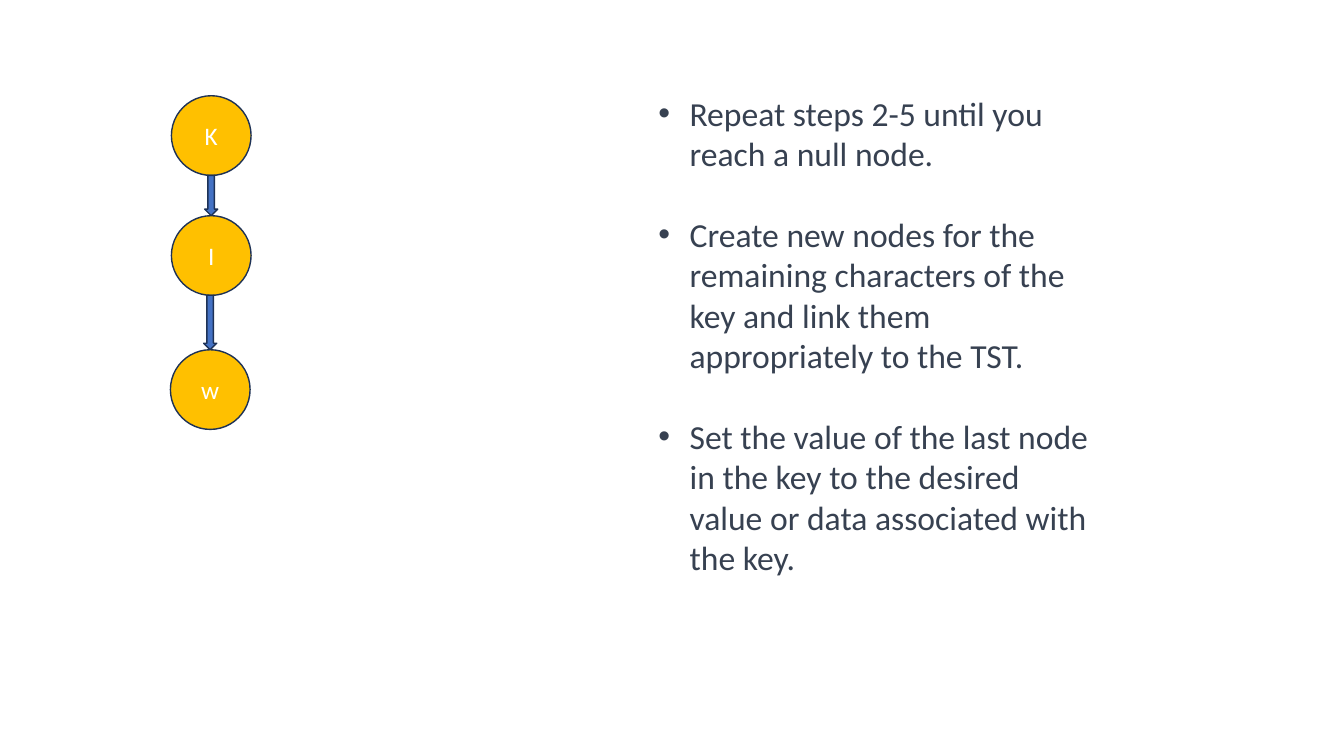
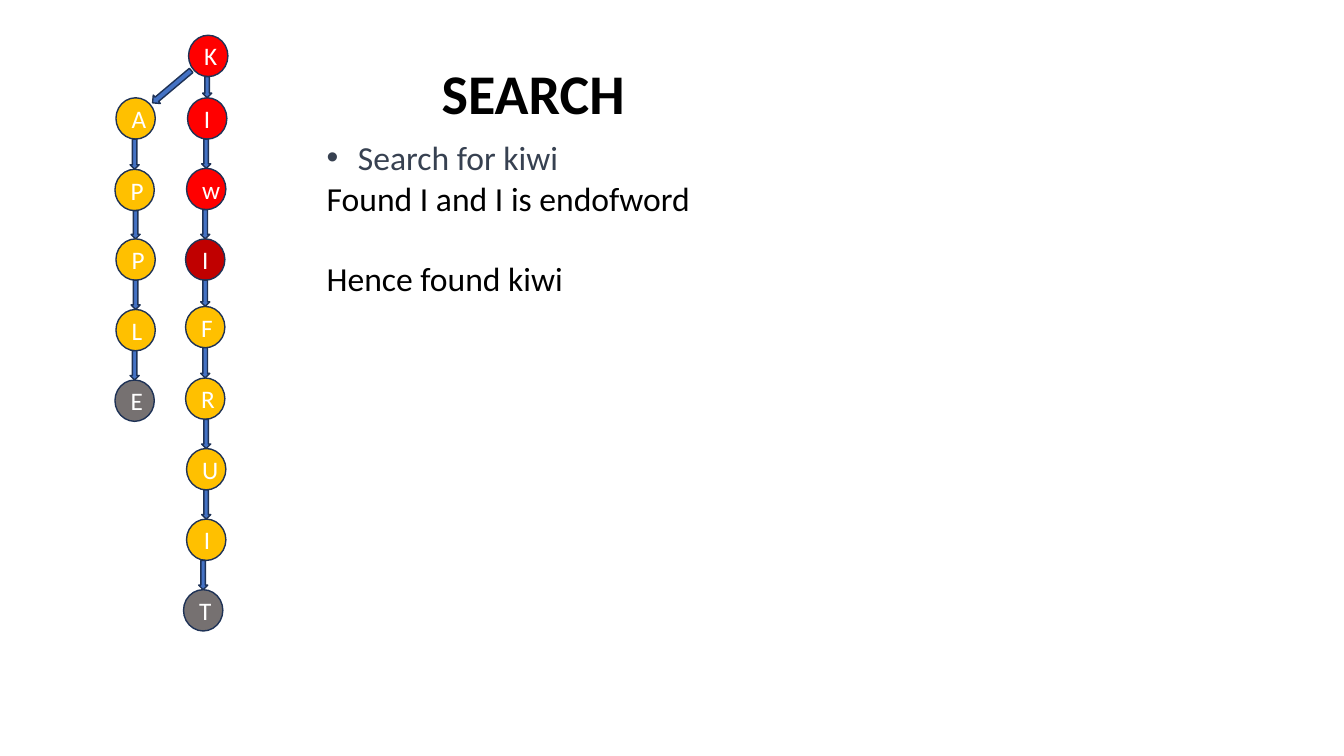
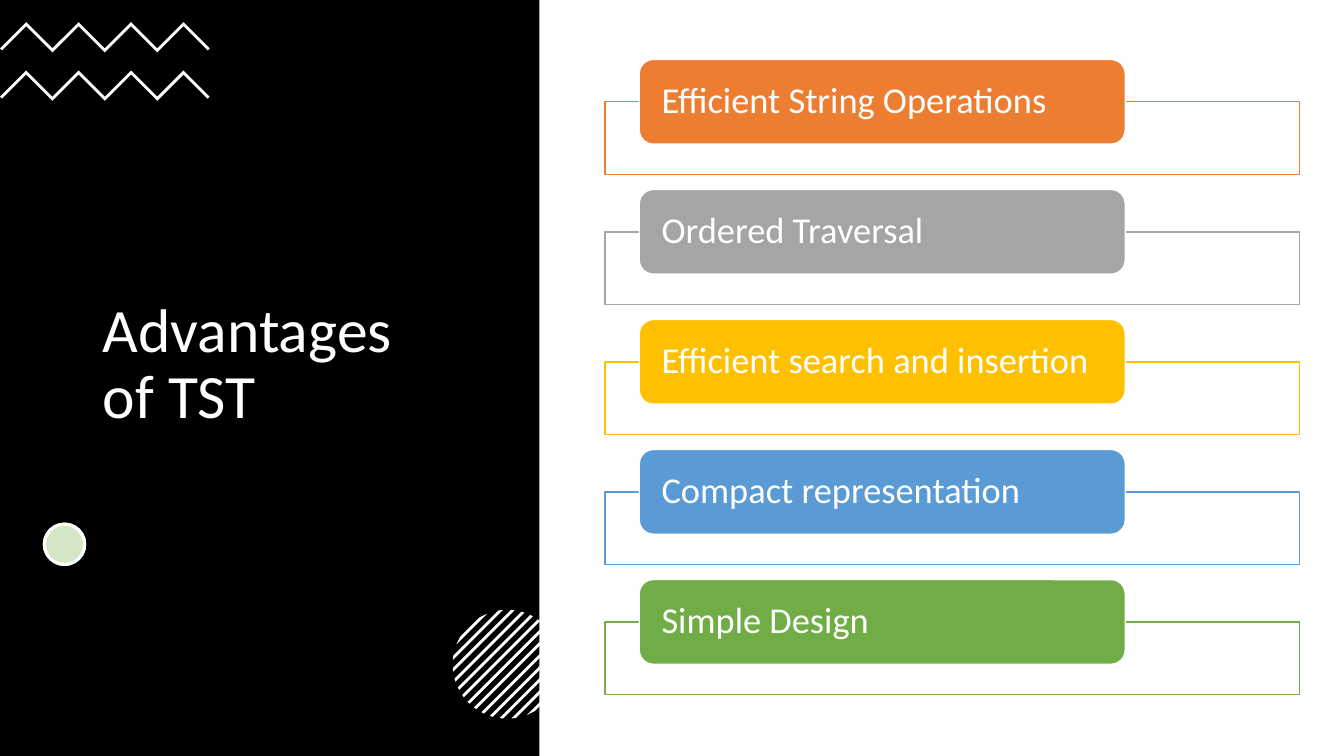
"""Build three slides on ternary search trees: insertion, search and advantages."""
import math
from dataclasses import dataclass
from typing import Any, Optional

import lxml.etree
import pptx
import pptx.dml.color
import pptx.enum.shapes
import pptx.enum.text
import pptx.oxml.ns
import pptx.shapes.autoshape
import pptx.slide
import pptx.util

Inches = pptx.util.Inches
Pt = pptx.util.Pt
MSO = pptx.enum.shapes.MSO_SHAPE
ALIGN = pptx.enum.text.PP_ALIGN
ANCHOR = pptx.enum.text.MSO_ANCHOR
qn = pptx.oxml.ns.qn

FONT = "Calibri"
COLORS = {
    "white": "FFFFFF", "black": "000000", "slate": "374151", "navy": "1E3256",
    "blue": "4472C4", "gold": "FFC000", "red": "FF0000", "dark_red": "C00000",
    "grey": "767171", "orange": "ED7D31", "silver": "A5A5A5", "sky": "5B9BD5",
    "green": "70AD47",
}


@dataclass
class Node:
    letter: str
    x: float
    y: float
    fill: str = "gold"
    align: Any = ALIGN.CENTER


@dataclass
class Item:
    text: str
    color: str = "slate"
    bullet: bool = True
    after: float = 0


@dataclass
class Card:
    text: str
    color: str


def rgb(name: str) -> pptx.dml.color.RGBColor:
    return pptx.dml.color.RGBColor.from_string(COLORS[name])


def write(p: Any, text: str, *, size: float, color: str, bold: bool = False,
          align: Any = ALIGN.LEFT, spacing: float = 1, after: float = 0) -> None:
    p.alignment = align
    p.line_spacing = spacing
    p.space_before = Pt(0)
    p.space_after = Pt(after)
    r = p.add_run()
    r.text = text
    r.font.name = FONT
    r.font.size = Pt(size)
    r.font.bold = bold
    r.font.color.rgb = rgb(color)


def paint(sp: pptx.shapes.autoshape.Shape, fill: str, line: Optional[str] = None,
          width: float = 1, alpha: Optional[int] = None) -> None:
    sp.shadow.inherit = False
    sp.fill.solid()
    sp.fill.fore_color.rgb = rgb(fill)
    if alpha is not None:
        clr = sp.element.spPr.find(qn("a:solidFill"))[0]
        lxml.etree.SubElement(clr, qn("a:alpha"), val=str(alpha * 1000))
    if line:
        sp.line.color.rgb = rgb(line)
        sp.line.width = Pt(width)
    else:
        sp.line.fill.background()


def add_shape(s: pptx.slide.Slide, kind: Any, x: float, y: float, w: float, h: float,
              fill: str, **style: Any) -> pptx.shapes.autoshape.Shape:
    sp = s.shapes.add_shape(kind, Inches(x), Inches(y), Inches(w), Inches(h))
    paint(sp, fill, **style)
    return sp


def add_outline(s: pptx.slide.Slide, points: list[tuple[float, float]], fill: str) -> None:
    start, *rest = [(Inches(x), Inches(y)) for x, y in points]
    builder = s.shapes.build_freeform(*start)
    builder.add_line_segments(rest, close=True)
    paint(builder.convert_to_shape(), fill)


def place(ph: Any, x: float, y: float, w: float, h: float, anchor: Any = ANCHOR.TOP) -> Any:
    ph.left, ph.top, ph.width, ph.height = Inches(x), Inches(y), Inches(w), Inches(h)
    tf = ph.text_frame
    tf.word_wrap = True
    tf.auto_size = pptx.enum.text.MSO_AUTO_SIZE.NONE
    tf.vertical_anchor = anchor
    return tf


def fill_list(tf: Any, items: list[Item]) -> None:
    for i, item in enumerate(items):
        p = tf.add_paragraph() if i else tf.paragraphs[0]
        write(p, item.text, size=24, color=item.color, after=item.after)
        pPr = p._p.get_or_add_pPr()
        indent = Inches(0.31) if item.bullet else 0
        pPr.set("marL", str(indent))
        pPr.set("indent", str(-indent))
        if item.bullet:
            lxml.etree.SubElement(pPr, qn("a:buFont"), typeface="Arial")
            lxml.etree.SubElement(pPr, qn("a:buChar"), char="•")
        else:
            lxml.etree.SubElement(pPr, qn("a:buNone"))


def add_arrow(s: pptx.slide.Slide, x: float, y: float, w: float, h: float,
              rotation: float = 0) -> None:
    sp = add_shape(s, MSO.DOWN_ARROW, x, y, w, h, "blue", line="navy")
    sp.rotation = rotation


def add_chain(s: pptx.slide.Slide, nodes: list[Node], w: float, h: float, arrow_w: float) -> None:
    bottom = None
    for node in nodes:
        if bottom is not None:
            add_arrow(s, node.x + (w - arrow_w) / 2, bottom, arrow_w, node.y - bottom)
        sp = add_shape(s, MSO.OVAL, node.x, node.y, w, h, node.fill, line="navy")
        write(sp.text_frame.paragraphs[0], node.letter, size=18, color="white", align=node.align)
        bottom = node.y + h


def add_zigzag(s: pptx.slide.Slide, top: float) -> None:
    step, rise, thick, tip = 0.26, 0.26, 0.04, 0.02
    upper = [(i * step, top + rise * (i % 2 == 0)) for i in range(9)]
    lower = [(x, y + thick) for x, y in upper[-2:0:-1]]
    (left, y), (right, _) = upper[0], upper[-1]
    add_outline(s, upper + [(right - tip, y + tip)] + lower + [(left + tip, y + tip)], "white")


def add_striped_disc(s: pptx.slide.Slide, cx: float, cy: float, radius: float) -> None:
    pitch, half_band = 0.12, 0.02
    for i in range(-6, 7):
        ends = []
        for u in (i * pitch - half_band, i * pitch + half_band):
            reach = math.sqrt(max(radius ** 2 - u ** 2 / 2, 0) / 2)
            ends.append([(cx + u / 2 + k * reach, cy + u / 2 - k * reach) for k in (1, -1)])
        add_outline(s, ends[0] + ends[1][::-1], "white")


def insertion_slide(prs: Any) -> None:
    s = prs.slides.add_slide(prs.slide_layouts[1])
    title = s.shapes.title.element
    title.getparent().remove(title)
    add_chain(s, [Node("K", 1.7, 0.95), Node("I", 1.7, 2.14), Node("w", 1.69, 3.47)],
              0.79, 0.79, 0.13)
    fill_list(place(s.placeholders[1], 6.43, 0.87, 4.52, 5.35), [
        Item("Repeat steps 2-5 until you reach a null node.", after=29),
        Item("Create new nodes for the remaining characters of the key and link them "
             "appropriately to the TST.", after=29),
        Item("Set the value of the last node in the key to the desired value or data "
             "associated with the key."),
    ])


def search_slide(prs: Any) -> None:
    s = prs.slides.add_slide(prs.slide_layouts[1])
    kiwifruit = [
        Node("K", 1.87, 0.35, "red"), Node("I", 1.86, 0.97, "red"),
        Node("w", 1.85, 1.67, "red"), Node("I", 1.84, 2.37, "dark_red"),
        Node("F", 1.84, 3.04), Node("R", 1.84, 3.75, align=ALIGN.RIGHT),
        Node("U", 1.85, 4.45, align=ALIGN.RIGHT), Node("I", 1.85, 5.15, align=ALIGN.RIGHT),
        Node("T", 1.82, 5.85, "grey", ALIGN.RIGHT),
    ]
    apple = [
        Node("A", 1.15, 0.97), Node("P", 1.14, 1.68), Node("P", 1.15, 2.37),
        Node("L", 1.15, 3.07), Node("E", 1.14, 3.77, "grey"),
    ]
    add_chain(s, kiwifruit, 0.39, 0.41, 0.09)
    add_arrow(s, 1.65, 0.61, 0.11, 0.5, rotation=50)
    add_chain(s, apple, 0.39, 0.41, 0.09)
    tf = place(s.shapes.title, 4.28, 0.53, 4.89, 0.77)
    write(tf.paragraphs[0], "SEARCH", size=40, color="black", bold=True)
    fill_list(place(s.placeholders[1], 3.14, 1.31, 9.26, 1.72), [
        Item("Search for kiwi"),
        Item("Found I and I is endofword", "black", bullet=False, after=29),
        Item("Hence found kiwi", "black", bullet=False),
    ])


def advantages_slide(prs: Any) -> None:
    s = prs.slides.add_slide(prs.slide_layouts[5])
    panel = add_shape(s, MSO.RECTANGLE, 0, 0, 5.35, 7.5, "black")
    s.shapes.title.element.addprevious(panel.element)
    tf = place(s.shapes.title, 0.92, 1.31, 3.5, 4.63, ANCHOR.MIDDLE)
    write(tf.paragraphs[0], "Advantages of TST", size=44, color="white", spacing=0.9)
    for top in (0.22, 0.7):
        add_zigzag(s, top)
    for fill, alpha in (("white", None), ("green", 30)):
        add_shape(s, MSO.OVAL, 0.44, 5.2, 0.4, 0.4, fill, line="white", width=2.25, alpha=alpha)
    add_striped_disc(s, 5.03, 6.59, 0.54)
    cards = [
        Card("Efficient String Operations", "orange"),
        Card("Ordered Traversal", "silver"),
        Card("Efficient search and insertion", "gold"),
        Card("Compact representation", "sky"),
        Card("Simple Design", "green"),
    ]
    for i, card in enumerate(cards):
        top = 0.59 + 1.29 * i
        add_shape(s, MSO.RECTANGLE, 6, top + 0.42, 6.89, 0.72, "white", line=card.color, alpha=90)
        sp = add_shape(s, MSO.ROUNDED_RECTANGLE, 6.34, top, 4.82, 0.84, card.color, line="white")
        tf = sp.text_frame
        tf.margin_left = tf.margin_right = Inches(0.18)
        tf.margin_top = tf.margin_bottom = 0
        write(tf.paragraphs[0], card.text, size=26, color="white", spacing=0.9)


def main() -> None:
    prs = pptx.Presentation()
    prs.slide_width, prs.slide_height = Inches(13.33), Inches(7.5)
    insertion_slide(prs)
    search_slide(prs)
    advantages_slide(prs)
    prs.save("out.pptx")


if __name__ == "__main__":
    main()
